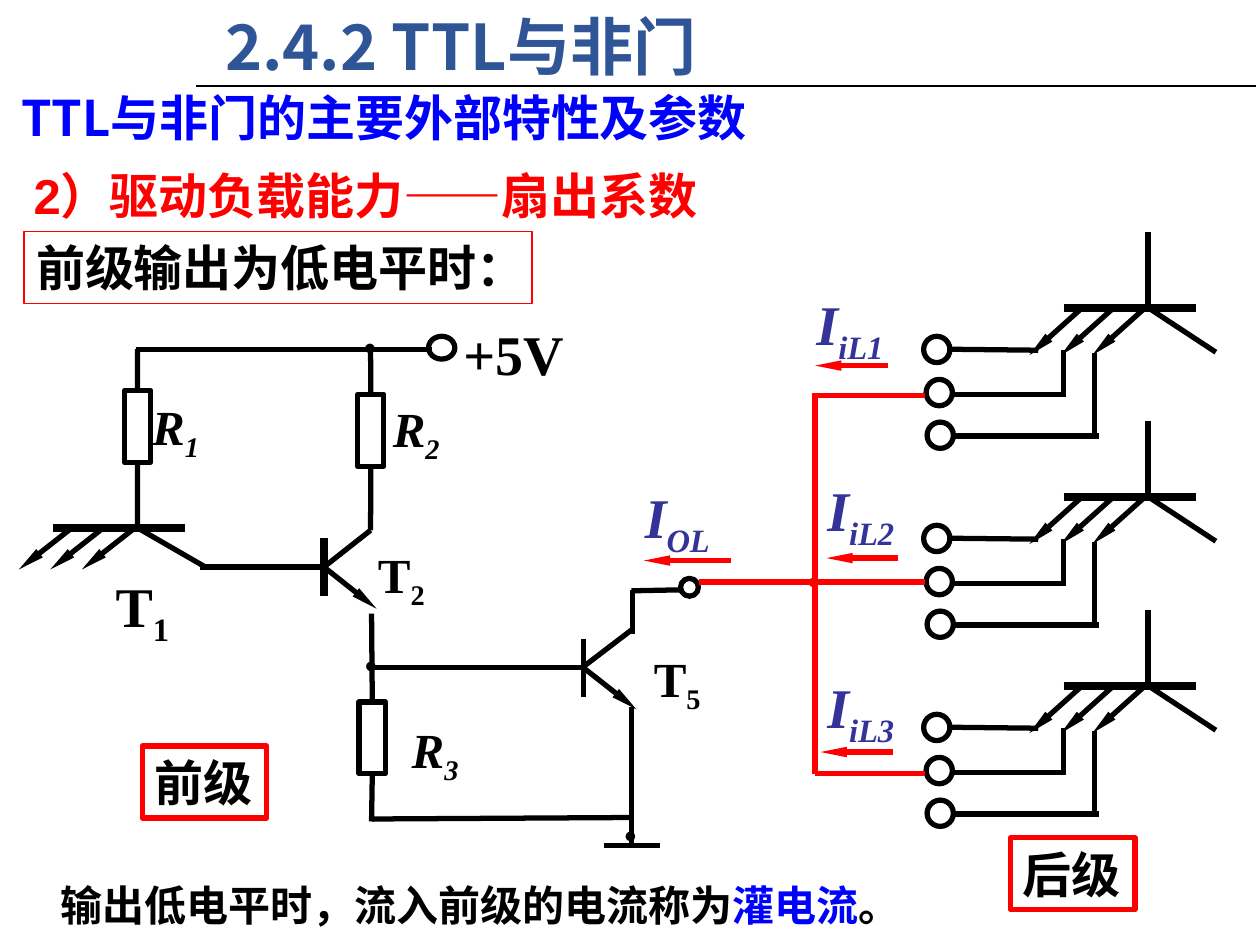
from lxml import etree
from pptx import Presentation
from pptx.dml.color import RGBColor
from pptx.enum import shapes as kinds, text as align
from pptx.oxml.ns import qn
from pptx.util import Cm, Pt

BLACK = RGBColor(0x00, 0x00, 0x00)
RED = RGBColor(0xFF, 0x00, 0x00)
BLUE = RGBColor(0x00, 0x00, 0xFF)
STEEL = RGBColor(0x2F, 0x55, 0x97)
INDIGO = RGBColor(0x33, 0x33, 0x99)
SANS = "Noto Sans CJK SC"
SERIF = "Times New Roman"

deck = Presentation()
deck.slide_width, deck.slide_height = Cm(25.4), Cm(19.05)
slide = deck.slides.add_slide(deck.slide_layouts[6])
parts = slide.shapes


def wire(x1, y1, x2, y2, color=BLACK, width=3, arrow=False):
    line = parts.add_connector(kinds.MSO_CONNECTOR.STRAIGHT, Cm(x1), Cm(y1), Cm(x2), Cm(y2))
    line.line.color.rgb = color
    line.line.width = Pt(width)
    if arrow:
        etree.SubElement(line.line._get_or_add_ln(), qn("a:tailEnd"),
                         type="triangle", w="sm", len="lg")
    etree.SubElement(line._element.spPr, qn("a:effectLst"))
    return line


def label(x, y, w, h, words, size=28, color=BLACK, font=SERIF, sub="", italic=False, border=0):
    """Add bold text with an optional subscript, framed in red if border is given."""
    place = Cm(x), Cm(y), Cm(w), Cm(h)
    if border:
        box = parts.add_shape(kinds.MSO_SHAPE.RECTANGLE, *place)
        box.shadow.inherit = False
        box.fill.background()
        box.line.color.rgb = RED
        box.line.width = Pt(border)
    else:
        box = parts.add_textbox(*place)
    frame = box.text_frame
    frame.word_wrap = True
    frame.vertical_anchor = align.MSO_ANCHOR.TOP
    line = frame.paragraphs[0]
    line.alignment = align.PP_ALIGN.LEFT
    line.font.name, line.font.size = font, Pt(size)
    line.font.bold, line.font.italic = True, italic
    line.font.color.rgb = color
    etree.SubElement(line._p.pPr.get_or_add_defRPr(), qn("a:ea"), typeface=SANS)
    line.add_run().text = words
    if sub:
        index = line.add_run()
        index.text = sub
        index._r.get_or_add_rPr().set("baseline", "-25000")
    return frame


# Headings
wire(3.96, 1.73, 25.32, 1.73, width=1.25)
label(4.29, 0.03, 21.03, 1.8, "2.4.2 TTL与非门", 36, STEEL, SANS)
label(0.18, 1.63, 23.62, 1.45, "TTL与非门的主要外部特性及参数", 28, BLUE, SANS)
topic = label(0.43, 3.1, 16.18, 1.68, "2）驱动负载能力——扇出系数", 28, RED, "Arial")
topic.vertical_anchor = align.MSO_ANCHOR.MIDDLE
label(0.48, 4.67, 10.24, 1.45, "前级输出为低电平时：", border=1)

# Resistors
resistors = []
for x, y in [(2.51, 7.87), (7.21, 7.95), (7.24, 14.15)]:
    resistor = parts.add_shape(kinds.MSO_SHAPE.RECTANGLE, Cm(x), Cm(y), Cm(0.53), Cm(1.45))
    resistors.append(resistor)
r1, r2, r3 = resistors

# Wires from each resistor: side, far end
for resistor, side, x, y in [
    (r1, 0, 2.77, 7.04), (r1, 2, 2.77, 10.64),
    (r2, 0, 7.47, 7.01), (r2, 2, 7.47, 10.69),
    (r3, 0, 7.49, 12.37), (r3, 2, 7.49, 16.56),
]:
    wire(x, y, x, y).begin_connect(resistor, side)
    # the far end stays on the node

# Driving stage
for x1, y1, x2, y2 in [
    (2.74, 7.04, 8.71, 7.04),      # supply rail
    (4.04, 11.43, 6.53, 11.43),    # T1 collector to T2 base
    (6.53, 11.43, 7.47, 10.69),    # T2 collector
    (11.73, 13.46, 7.49, 13.46),   # T5 base
    (11.76, 12.88, 11.76, 14.05),
    (11.76, 13.44, 12.73, 12.7),   # T5 collector
    (12.75, 11.89, 12.75, 12.78),
    (12.73, 11.91, 13.74, 11.89),
    (12.73, 14.25, 12.73, 17.07),  # T5 emitter to ground
    (7.49, 16.51, 12.73, 16.48),
    (12.17, 17.04, 13.31, 17.04),
]:
    wire(x1, y1, x2, y2)
wire(6.53, 10.85, 6.53, 12.01, width=4.5)
wire(6.53, 11.43, 7.59, 12.27, arrow=True)
wire(11.76, 13.46, 12.83, 14.3, arrow=True)

# Multi-emitter transistors: T1, then the input of each load gate
terminals = [(8.64, 6.78, 0.53, 0.46), (13.72, 11.66, 0.36, 0.36)]
load_tops = [6.2 + 3.81 * n for n in range(3)]
for left, top, drop, fall in [(1.07, 10.64, 0.84, 0.79)] + [(21.44, y, 0.96, 0.9) for y in load_tops]:
    wire(left, top, left + 2.66, top, width=4.5)
    for n in range(3):
        start = left + 0.38 + 0.635 * n
        wire(start, top, start - 1.07, top + drop, arrow=True)
    wire(left + 1.7, top, left + 3.07, top + fall)

for top in load_tops:
    for x1, y1, x2, y2 in [
        (23.14, 0, 23.14, -1.53),
        (20.93, 0.86, 19.13, 0.84),
        (21.44, 0.86, 21.44, 1.8), (21.44, 1.75, 19.2, 1.75),
        (22.07, 0.91, 22.07, 2.64), (22.15, 2.59, 19.25, 2.59),
    ]:
        wire(x1, top + y1, x2, top + y2)
    terminals += [(x, top + y, 0.53, 0.53)
                  for x, y in [(18.62, 0.58), (18.67, 1.45), (18.69, 2.31)]]

circles = [parts.add_shape(kinds.MSO_SHAPE.OVAL, *map(Cm, place)) for place in terminals]
for outline in resistors + circles:
    outline.shadow.inherit = False
    outline.fill.background()
    outline.line.color.rgb = BLACK
    outline.line.width = Pt(3)

# Red connection between the stages
wire(14.1, 11.73, 16.48, 11.73, RED)
for y in (7.98, 11.73, 15.6):
    wire(16.43, y, 18.64, y, RED)
wire(16.43, 7.92, 16.43, 15.6, RED)

# Currents: label corner, subscript, arrow from, to, height
for x, y, sub, start, end, level in [
    (12.75, 9.6, "OL", 14.73, 12.98, 11.3),
    (16.21, 5.72, "iL1", 17.91, 16.43, 7.37),
    (16.43, 9.47, "iL2", 18.11, 16.66, 11.25),
    (16.43, 13.44, "iL3", 18.01, 16.54, 15.16),
]:
    wire(start, level, end, level, RED, arrow=True)
    label(x, y, 2.77, 1.5, "I", 32, INDIGO, sub=sub, italic=True)

# Component names
label(9.09, 6.32, 3.51, 1.27, "+5V", 32)
for x, y, w, letter, sub, size in [
    (2.82, 7.87, 2.92, "R", "1", 28),
    (7.67, 7.9, 2.92, "R", "2", 28),
    (8.05, 14.38, 2.84, "R", "3", 28),
    (2.08, 11.4, 2.01, "T", "1", 32),
    (7.37, 10.85, 1.7, "T", "2", 28),
    (12.93, 12.95, 1.85, "T", "5", 28),
]:
    label(x, y, w, 1.14, letter, size, sub=sub, italic=letter == "R")

# Junction dots
for x, y, color in [(7.06, 12.85, BLACK), (7.04, 6.45, BLACK),
                    (12.29, 16.28, BLACK), (15.98, 11.15, RED)]:
    dot = label(x, y, 0.84, 1.09, "•", 20, color)
    dot.word_wrap = False
    dot.vertical_anchor = align.MSO_ANCHOR.MIDDLE
    dot.paragraphs[0].alignment = align.PP_ALIGN.CENTER

# Stage names and conclusion
label(2.87, 15.04, 2.51, 1.45, "前级", border=3)
label(20.37, 16.89, 2.51, 1.45, "后级", border=3)
conclusion = label(0.97, 17.6, 17.07, 1.27, "输出低电平时，流入前级的电流称为", 24, font=SANS).paragraphs[0]
term = conclusion.add_run()
term.text = "灌电流"
term.font.color.rgb = BLUE
conclusion.add_run().text = "。"

deck.save("out.pptx")
